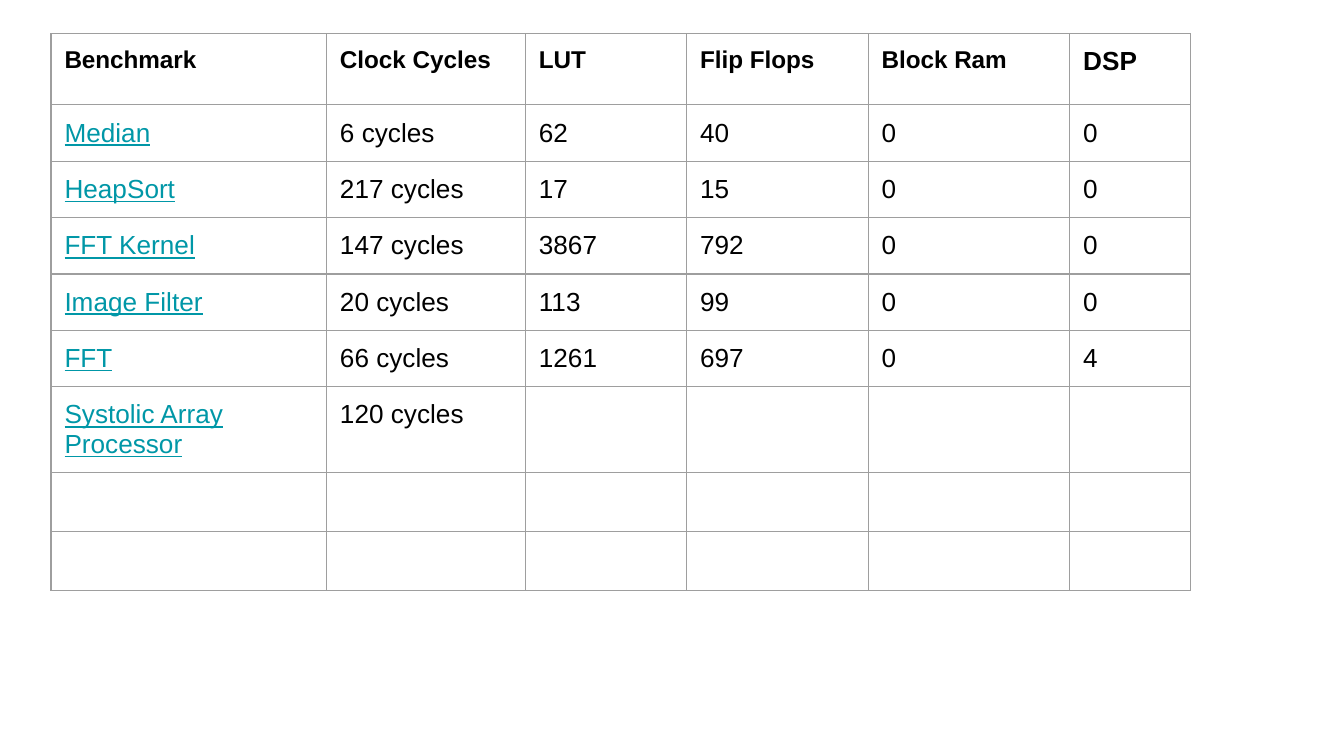
from lxml import etree
from pptx import Presentation
from pptx.dml.color import RGBColor
from pptx.oxml.ns import qn
from pptx.util import Inches, Pt

COLORS = {"text": "000000", "link": "0097A7", "border": "9E9E9E"}
FONT = "Arial"
BODY_SIZE = 14
HEADER_SIZE = 13
BORDER_WIDTH = 0.75
CELL_MARGIN = 0.1
SLIDE_WIDTH = 10
SLIDE_HEIGHT = SLIDE_WIDTH * 9 / 16
TABLE_LEFT, TABLE_TOP = 0.38, 0.25

HEADERS = ["Benchmark", "Clock Cycles", "LUT", "Flip Flops", "Block Ram", "DSP"]
BENCHMARKS = [
    ("Median", "6 cycles", "62", "40", "0", "0"),
    ("HeapSort", "217 cycles", "17", "15", "0", "0"),
    ("FFT Kernel", "147 cycles", "3867", "792", "0", "0"),
    ("Image Filter", "20 cycles", "113", "99", "0", "0"),
    ("FFT", "66 cycles", "1261", "697", "0", "4"),
    ("Systolic Array Processor", "120 cycles", "", "", "", ""),
]
SPARE_ROWS = [("",) * len(HEADERS)] * 2
COLUMN_WIDTHS = [2.05, 1.48, 1.2, 1.35, 1.5, 0.9]
ROW_HEIGHTS = [0.53, 0.42, 0.42, 0.37, 0.42, 0.42, 0.51, 0.44, 0.44]


def add_borders(cell):
    properties = cell._tc.get_or_add_tcPr()
    for position, side in enumerate(("a:lnL", "a:lnR", "a:lnT", "a:lnB")):
        border = etree.Element(qn(side), w=str(Pt(BORDER_WIDTH)))
        fill = etree.SubElement(border, qn("a:solidFill"))
        etree.SubElement(fill, qn("a:srgbClr"), val=COLORS["border"])
        properties.insert(position, border)


def write_cell(cell, text, size, bold, linked):
    cell.margin_left = cell.margin_right = Inches(CELL_MARGIN)
    cell.margin_top = cell.margin_bottom = Inches(CELL_MARGIN)
    cell.fill.background()
    add_borders(cell)
    paragraph = cell.text_frame.paragraphs[0]
    if not text:
        etree.SubElement(paragraph._p, qn("a:endParaRPr"), sz=str(size * 100))
        return
    run = paragraph.add_run()
    run.text = text
    run.font.name = FONT
    run.font.size = Pt(size)
    run.font.bold = bold
    run.font.underline = linked
    run.font.color.rgb = RGBColor.from_string(COLORS["link" if linked else "text"])


def main():
    """Build the slide with the benchmark resource table."""
    presentation = Presentation()
    presentation.slide_width = Inches(SLIDE_WIDTH)
    presentation.slide_height = Inches(SLIDE_HEIGHT)
    slide = presentation.slides.add_slide(presentation.slide_layouts[6])
    rows = [HEADERS, *BENCHMARKS, *SPARE_ROWS]
    table = slide.shapes.add_table(
        len(rows), len(HEADERS), Inches(TABLE_LEFT), Inches(TABLE_TOP),
        Inches(sum(COLUMN_WIDTHS)), Inches(sum(ROW_HEIGHTS)),
    ).table
    table.horz_banding = False
    for column, width in zip(table.columns, COLUMN_WIDTHS):
        column.width = Inches(width)
    for row_index, (values, height) in enumerate(zip(rows, ROW_HEIGHTS)):
        table.rows[row_index].height = Inches(height)
        is_header = row_index == 0
        for column_index, value in enumerate(values):
            size = HEADER_SIZE if is_header and value != "DSP" else BODY_SIZE
            linked = not is_header and column_index == 0
            write_cell(table.cell(row_index, column_index), value, size, is_header, linked)
    presentation.save("out.pptx")


if __name__ == "__main__":
    main()
